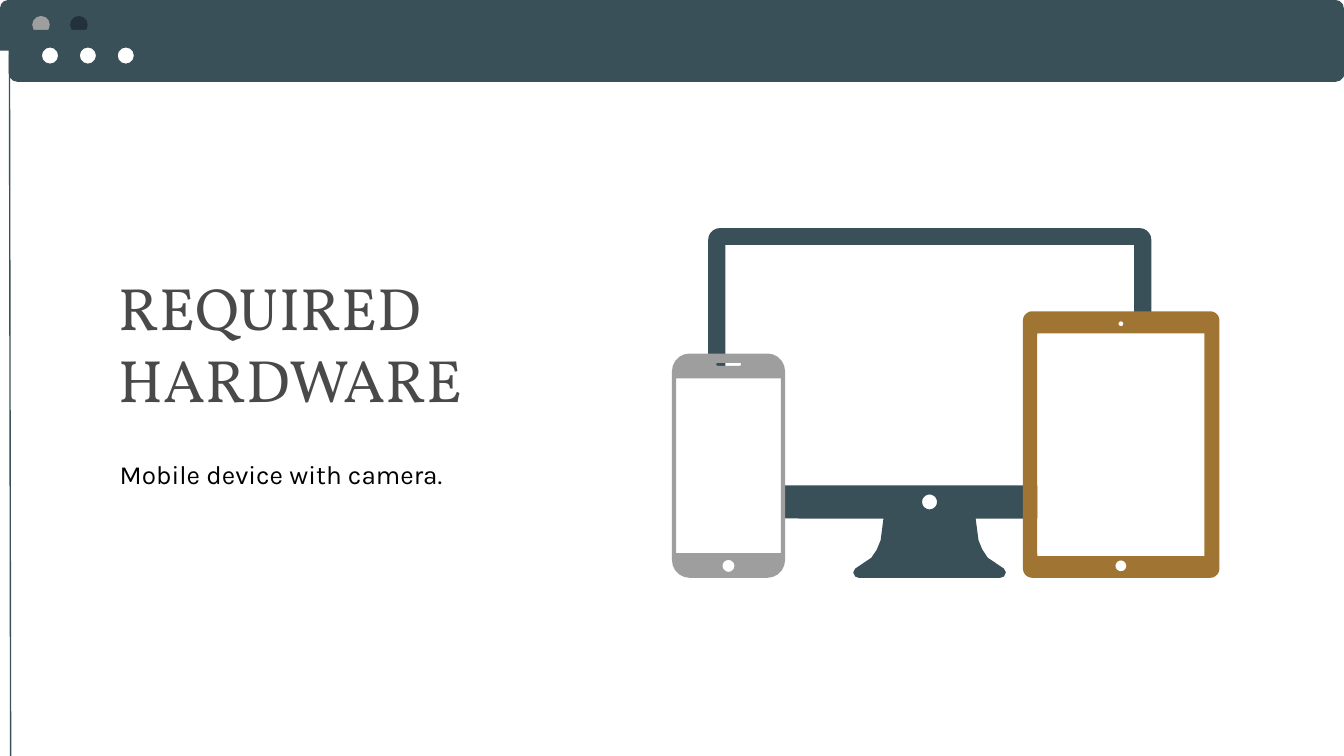
from math import cos, pi, sin

from lxml.etree import SubElement
from pptx import Presentation
from pptx.dml.color import RGBColor
from pptx.enum.shapes import MSO_CONNECTOR as Connector, MSO_SHAPE as Shape
from pptx.enum.text import MSO_ANCHOR as Anchor, MSO_AUTO_SIZE as AutoSize, PP_ALIGN as Align
from pptx.oxml.ns import qn
from pptx.util import Pt

SLATE = RGBColor(0x39, 0x50, 0x59)
SLATE_DOT = RGBColor(0x39, 0x50, 0x58)
NAVY = RGBColor(0x23, 0x30, 0x3D)
GRAY = RGBColor(0x9E, 0x9E, 0x9E)
BRONZE = RGBColor(0xA0, 0x74, 0x33)
CHARCOAL = RGBColor(0x49, 0x49, 0x49)
BLACK = RGBColor(0, 0, 0)
WHITE = RGBColor(0xFF, 0xFF, 0xFF)


def rounded_box(left, top, width, height, radius=0):
    """Return the outline clockwise from the left edge, six points to a corner."""
    right, bottom = left + width - radius, top + height - radius
    left, top = left + radius, top + radius
    corners = [(left, top), (right, top), (right, bottom), (left, bottom)]
    return [
        (x + radius * cos(angle), y + radius * sin(angle))
        for turn, (x, y) in enumerate(corners)
        for angle in [pi + (turn + step / 5) * pi / 2 for step in range(6)]
    ]


def write_text(box, text, *, font, size, color, anchor, spacing=1.0):
    frame = box.text_frame
    frame.word_wrap = True
    frame.auto_size = AutoSize.NONE
    frame.vertical_anchor = anchor
    frame.margin_left = frame.margin_right = Pt(7.2)
    frame.margin_top = frame.margin_bottom = Pt(7.2)
    para = frame.paragraphs[0]
    para.alignment = Align.LEFT
    para.line_spacing = spacing
    para.space_before = Pt(0)
    span = para.add_run()
    span.text = text
    span.font.name = font
    span.font.size = Pt(size)
    span.font.color.rgb = color


deck = Presentation()
deck.slide_width, deck.slide_height = Pt(720), Pt(405)
page = deck.slides.add_slide(deck.slide_layouts[0])

# Title and subtitle
title, subtitle = page.placeholders
title.left, title.top, title.width, title.height = Pt(56.2), Pt(162), Pt(284.4), Pt(67)
subtitle.left, subtitle.top, subtitle.width, subtitle.height = Pt(56.9), Pt(238.3), Pt(228.2), Pt(81.4)
write_text(title, "REQUIRED HARDWARE", font="Vollkorn", size=32, color=CHARCOAL, anchor=Anchor.BOTTOM)
write_text(subtitle, "Mobile device with camera.", font="Karla", size=14, color=BLACK, anchor=Anchor.TOP)

# Two browser bars with three dots each, and the white tablet and phone screens
bars = [
    (Shape.ROUND_2_SAME_RECTANGLE, 0, 0, 720, 17.3, 8.6, (GRAY, NAVY, SLATE_DOT), None),
    (Shape.ROUNDED_RECTANGLE, 5, 16.4, 715, 22.1, 25.1, (WHITE,) * 3, SLATE),
]
blocks = []
for kind, left, top, width, dot_left, dot_top, dot_colors, outline in bars:
    blocks.append((kind, left, top, width, 27.1, SLATE, outline))
    for index, color in enumerate(dot_colors):
        blocks.append((Shape.OVAL, dot_left + index * 20.3, dot_top, 9.4, 9.4, color, outline))
for kind, left, top, width, height, color, outline in blocks:
    block = page.shapes.add_shape(kind, Pt(left), Pt(top), Pt(width), Pt(height))
    block.shadow.inherit = False
    block.fill.solid()
    block.fill.fore_color.rgb = color
    if outline is None:
        block.line.fill.background()
    else:
        block.line.color.rgb = outline
        block.line.width = Pt(0.75)

window_edge = page.shapes.add_connector(Connector.STRAIGHT, Pt(5.1), Pt(29.5), Pt(5.7), Pt(405))
window_edge.line.color.rgb = SLATE
window_edge.line.width = Pt(0.75)
SubElement(window_edge._element.spPr, qn("a:effectLst"))

# Devices: the first outline is the body, the others are holes in it
stand_right = [
    (522.7, 277.9), (524.2, 289.4), (526.3, 294.5), (529.2, 298.8),
    (537.8, 304.6), (538.9, 306.7), (537.8, 308.9), (535.7, 309.6),
]
stand_left = [(2 * 498 - x, y) for x, y in reversed(stand_right)]
monitor = rounded_box(379.4, 122.2, 237.4, 155.5, 6.3)
monitor[18:18] = stand_right + stand_left  # between the two bottom corners

devices = [
    (SLATE, [
        monitor,
        rounded_box(388.6, 131.2, 219, 128.8),
        rounded_box(494, 264.9, 8, 8, 4),
    ]),
    (WHITE, [rounded_box(360.7, 202.3, 59, 95.8)]),
    (BRONZE, [
        rounded_box(548, 166.8, 105.3, 142.8, 5),
        rounded_box(555.8, 179.3, 89.3, 117.4),
        rounded_box(599.2, 172.2, 2.6, 2.6, 1.3),
        rounded_box(597.6, 300.3, 5.8, 5.8, 2.9),
    ]),
    (GRAY, [
        rounded_box(360, 189.4, 60.6, 120.2, 9.5),
        rounded_box(362.2, 202.8, 56.2, 93.6),
        rounded_box(383.7, 194.4, 13.4, 1.6, 0.8),
        rounded_box(387.1, 300, 6.4, 6.4, 3.2),
    ]),
    (WHITE, [rounded_box(555.8, 178.6, 89.4, 119.2)]),
]
for color, outlines in devices:
    builder = None
    for outline in outlines:
        points = [(Pt(x), Pt(y)) for x, y in outline]
        if builder is None:
            builder = page.shapes.build_freeform(*points[0])
        else:
            builder.move_to(*points[0])
        builder.add_line_segments(points[1:], close=True)
    device = builder.convert_to_shape()
    device.shadow.inherit = False
    device.fill.solid()
    device.fill.fore_color.rgb = color
    device.line.fill.background()

deck.save("out.pptx")
